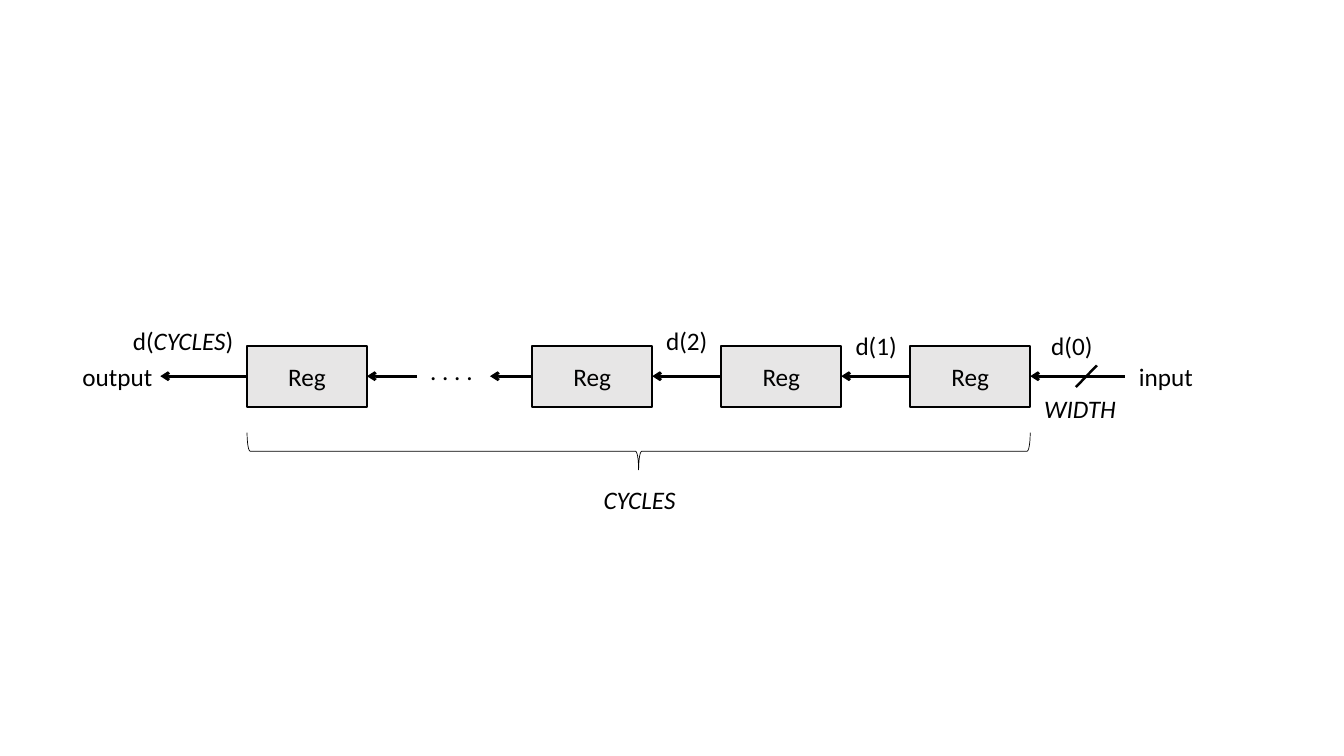
from lxml import etree
from pptx import Presentation
from pptx.dml.color import RGBColor
from pptx.enum import shapes, text
from pptx.oxml.ns import qn
from pptx.util import Pt

BLACK, GREY = "000000", "E7E6E6"
FONT = {"name": "Calibri", "size": Pt(18)}


def add_runs(paragraph, runs):
    """Add (wording, italic) pairs in the common font."""
    for wording, italic in runs:
        run = paragraph.add_run()
        run.text = wording
        for name, value in {**FONT, "italic": italic}.items():
            setattr(run.font, name, value)
        run.font.color.rgb = RGBColor.from_string(BLACK)


def add_line(start, end, width, arrow=True):
    line = slide.shapes.add_connector(
        shapes.MSO_CONNECTOR.STRAIGHT, *[Pt(value) for value in start + end])
    line.line.width = Pt(width)
    line.line.color.rgb = RGBColor.from_string(BLACK)
    properties = line.element.spPr
    if arrow:
        outline = properties.find(qn("a:ln"))
        etree.SubElement(outline, qn("a:tailEnd"), type="arrow")
    etree.SubElement(properties, qn("a:effectLst"))


presentation = Presentation()
presentation.slide_width, presentation.slide_height = Pt(960), Pt(540)
slide = presentation.slides.add_slide(presentation.slide_layouts[6])

# Registers, from output to input
reg_lefts = [176.5, 380.3, 515.3, 650.3]
reg_top, reg_width, reg_height = 247, 85.6, 44
reg_rights = [left + reg_width for left in reg_lefts]
for left in reg_lefts:
    reg = slide.shapes.add_shape(
        shapes.MSO_SHAPE.RECTANGLE, Pt(left), Pt(reg_top), Pt(reg_width), Pt(reg_height))
    reg.shadow.inherit = False
    reg.fill.solid()
    reg.fill.fore_color.rgb = RGBColor.from_string(GREY)
    reg.line.color.rgb = RGBColor.from_string(BLACK)
    reg.line.width = Pt(1.5)
    reg.text_frame.vertical_anchor = text.MSO_ANCHOR.MIDDLE
    paragraph = reg.text_frame.paragraphs[0]
    paragraph.alignment = text.PP_ALIGN.CENTER
    add_runs(paragraph, [("Reg", False)])

# Data arrows, pointing left
wire_y = 268.7
wires = [
    (reg_lefts[0], 114.5),
    (298, reg_rights[0]),
    (reg_lefts[1], 350),
    (reg_lefts[2], reg_rights[1]),
    (reg_lefts[3], reg_rights[2]),
    (803.5, reg_rights[3]),
]
for start_x, end_x in wires:
    add_line((start_x, wire_y), (end_x, wire_y), 2)

# Bus width slash
add_line((783.5, 261), (768.5, 276.5), 1.75, arrow=False)

# Brace under all registers
span = reg_rights[-1] - reg_lefts[0]
brace_depth, brace_middle = 26.5, 322.3
brace_center = reg_lefts[0] + span / 2
brace = slide.shapes.add_shape(
    shapes.MSO_SHAPE.LEFT_BRACE, Pt(brace_center - brace_depth / 2),
    Pt(brace_middle - span / 2), Pt(brace_depth), Pt(span))
brace.rotation = 270
brace.shadow.inherit = False
brace.fill.background()
brace.line.color.rgb = RGBColor.from_string(BLACK)
brace.line.width = Pt(0.5)

# Labels
labels = [
    (743.8, 232.5, [("d(0)", False)]),
    (604, 232.5, [("d(1)", False)]),
    (468.7, 229, [("d(2)", False)]),
    (87.8, 229, [("d(", False), ("CYCLES", True), (")", False)]),
    (51.8, 254.5, [("output", False)]),
    (806.4, 254.5, [("input", False)]),
    (300.2, 250, [(". . . .", False)]),
    (424, 342.7, [("CYCLES", True)]),
    (738.7, 277.5, [("WIDTH", True)]),
]
for left, top, runs in labels:
    label = slide.shapes.add_textbox(Pt(left), Pt(top), Pt(109.4), Pt(29))
    label.text_frame.word_wrap = True
    label.text_frame.auto_size = text.MSO_AUTO_SIZE.SHAPE_TO_FIT_TEXT
    add_runs(label.text_frame.paragraphs[0], runs)

presentation.save("out.pptx")
